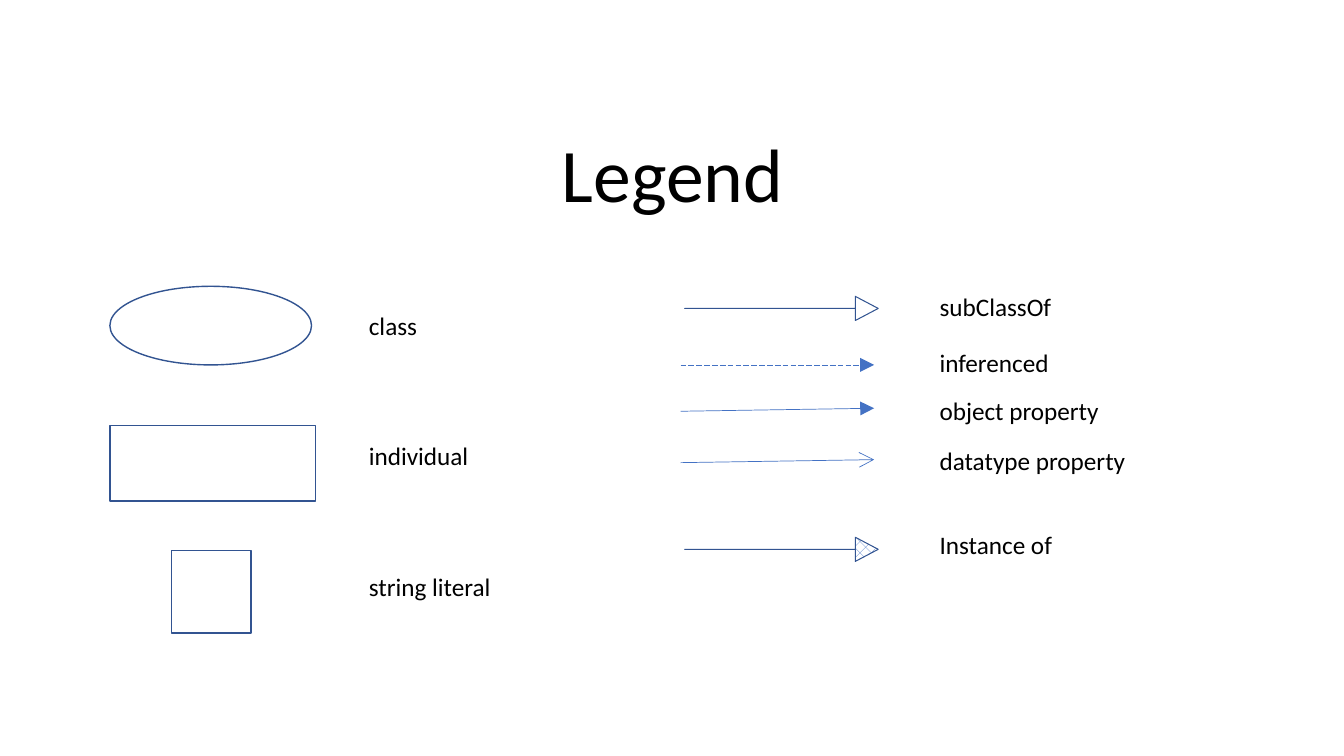
from dataclasses import dataclass

import pptx
import pptx.dml.color
import pptx.enum.dml
import pptx.enum.shapes
import pptx.enum.text
import pptx.oxml
import pptx.oxml.ns
import pptx.util
from pptx.util import Inches

SHAPE = pptx.enum.shapes.MSO_SHAPE
RGB = pptx.dml.color.RGBColor.from_string


@dataclass(frozen=True)
class Theme:
    font: str = "Calibri"
    text: str = "000000"
    outline: str = "325491"
    accent: str = "4472C4"
    paper: str = "FFFFFF"
    title_size: float = 54
    label_size: float = 18


THEME = Theme()


def add_text(s, text, left, top, width=1.88, height=0.4, size=THEME.label_size,
             align=pptx.enum.text.PP_ALIGN.LEFT,
             anchor=pptx.enum.text.MSO_ANCHOR.TOP, spacing=1.0):
    box = s.shapes.add_textbox(Inches(left), Inches(top), Inches(width), Inches(height))
    tf = box.text_frame
    tf.word_wrap = True
    tf.vertical_anchor = anchor
    p = tf.paragraphs[0]
    p.alignment = align
    p.line_spacing = spacing
    r = p.add_run()
    r.text = text
    r.font.name = THEME.font
    r.font.size = pptx.util.Pt(size)
    r.font.color.rgb = RGB(THEME.text)


def add_outline(s, kind, left, top, width, height, weight=1):
    sp = s.shapes.add_shape(kind, Inches(left), Inches(top), Inches(width), Inches(height))
    sp.shadow.inherit = False
    sp.fill.background()
    sp.line.color.rgb = RGB(THEME.outline)
    sp.line.width = pptx.util.Pt(weight)
    return sp


def add_block_arrow(s, top, patterned=False):
    """Arrow with a hairline shaft and a hollow or patterned head."""
    sp = add_outline(s, SHAPE.RIGHT_ARROW, 6.79, top, 1.92, 0.24, weight=0.75)
    sp.adjustments[0] = 0
    sp.adjustments[1] = 0.947
    if patterned:
        sp.fill.patterned()
        sp.fill.pattern = pptx.enum.dml.MSO_PATTERN.PERCENT_25
        sp.fill.fore_color.rgb = RGB(THEME.accent)
        sp.fill.back_color.rgb = RGB(THEME.paper)


def add_arrow(s, y1, y2, head="triangle", dash=None):
    cx = s.shapes.add_connector(pptx.enum.shapes.MSO_CONNECTOR.STRAIGHT,
                                Inches(6.75), Inches(y1), Inches(8.67), Inches(y2))
    cx.line.color.rgb = RGB(THEME.accent)
    cx.line.width = pptx.util.Pt(0.5)
    if dash:
        cx.line.dash_style = dash
    # Arrowhead and no shadow
    ns = pptx.oxml.ns.nsdecls("a")
    cx.line._get_or_add_ln().append(pptx.oxml.parse_xml(
        f'<a:tailEnd {ns} type="{head}" w="lg" len="lg"/>'))
    cx._element.spPr.append(pptx.oxml.parse_xml(f"<a:effectLst {ns}/>"))


def main():
    prs = pptx.Presentation()
    prs.slide_width, prs.slide_height = Inches(13.33), Inches(7.5)
    s = prs.slides.add_slide(prs.slide_layouts[6])

    # Title
    add_text(s, "Legend", 1.67, 1.23, 10, 0.99, size=THEME.title_size,
             align=pptx.enum.text.PP_ALIGN.CENTER,
             anchor=pptx.enum.text.MSO_ANCHOR.BOTTOM, spacing=0.9)

    # Node symbols
    add_outline(s, SHAPE.OVAL, 1.09, 2.84, 2, 0.78)
    add_outline(s, SHAPE.RECTANGLE, 1.09, 4.22, 2.04, 0.75)
    add_outline(s, SHAPE.RECTANGLE, 1.7, 5.46, 0.79, 0.82)
    for text, top in (("class", 3.03), ("individual", 4.32), ("string literal", 5.62)):
        add_text(s, text, 3.56, top)

    # Relation symbols
    add_block_arrow(s, 2.94)
    add_arrow(s, 3.62, 3.62, dash=pptx.enum.dml.MSO_LINE.LONG_DASH)
    add_arrow(s, 4.08, 4.05)
    add_arrow(s, 4.59, 4.56, head="arrow")
    add_block_arrow(s, 5.33, patterned=True)
    for text, top in (("subClassOf", 2.84), ("inferenced", 3.4), ("object property", 3.87),
                      ("datatype property", 4.37), ("Instance of", 5.2)):
        add_text(s, text, 9.22, top, width=2.18)

    prs.save("out.pptx")


if __name__ == "__main__":
    main()
